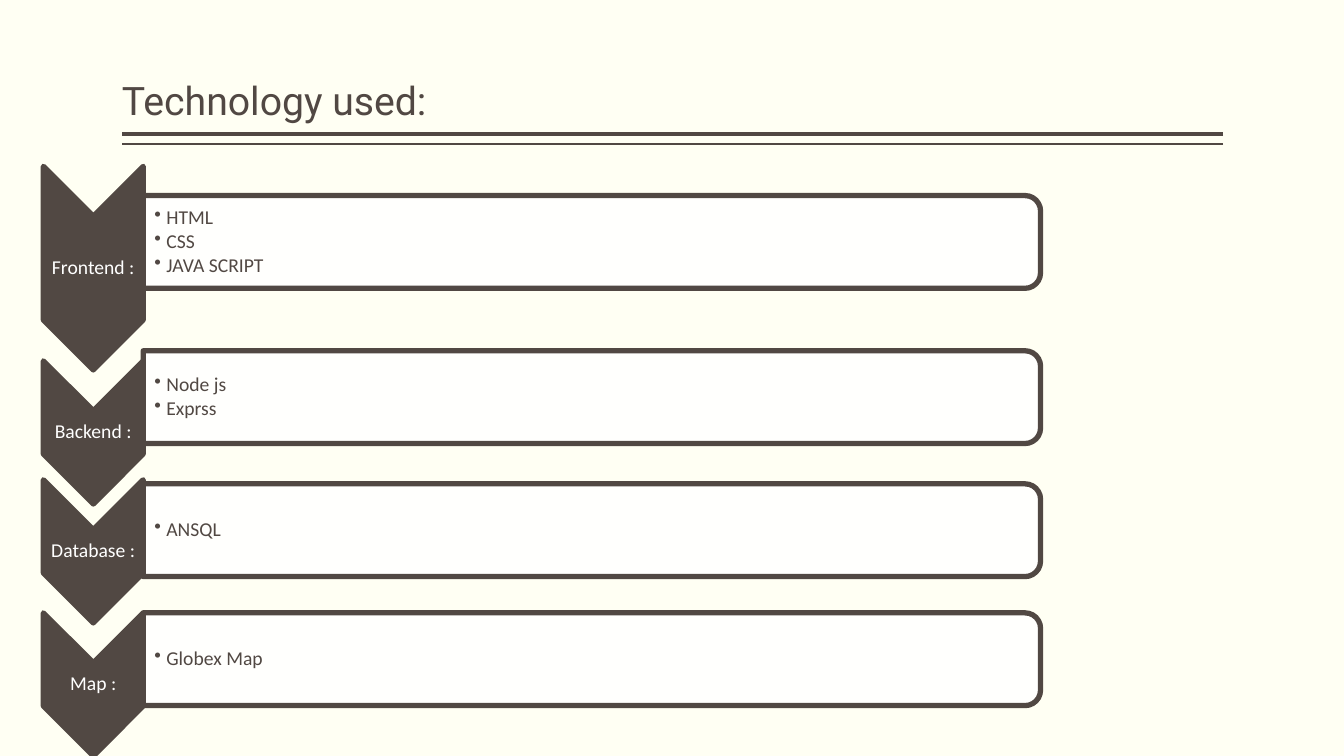
from lxml import etree
from pptx import Presentation
from pptx.dml.color import RGBColor
from pptx.enum.shapes import MSO_CONNECTOR, MSO_SHAPE
from pptx.enum.text import MSO_ANCHOR, PP_ALIGN
from pptx.oxml.ns import qn
from pptx.util import Inches, Pt

BROWN = RGBColor(0x51, 0x48, 0x43)
WHITE = RGBColor(0xFF, 0xFF, 0xFF)
IVORY = RGBColor(0xFF, 0xFF, 0xF3)

TITLE = "Technology used:"
# label, chevron top, chevron height, panel top, bullets
STACK = [
    ("Frontend :", 1.65, 2.02, 1.94, ["HTML", "CSS", "JAVA SCRIPT"]),
    ("Backend :", 3.58, 1.42, 3.48, ["Node js", "Exprss"]),
    ("Database :", 4.76, 1.42, 4.80, ["ANSQL"]),
    ("Map :", 6.08, 1.42, 6.08, ["Globex Map"]),
]
RULES = [(1.33, 3), (1.43, 1)]  # y, weight

TITLE_X, TITLE_W = 1.21, 10.92
CHEVRON_X, CHEVRON_W = 0.43, 0.99
PANEL_X, PANEL_W, PANEL_H = CHEVRON_X + CHEVRON_W, 8.9, 0.92
INSET = 0.05  # panel edge to its text area
INDENT = 0.12

prs = Presentation()
prs.slide_width, prs.slide_height = Inches(13.33), Inches(7.5)
s = prs.slides.add_slide(prs.slide_layouts[6])
s.background.fill.solid()
s.background.fill.fore_color.rgb = IVORY


def add_turned(kind, x, y, w, h, color):
    """Add a shape turned a quarter, filling the box x, y, w, h as seen."""
    sp = s.shapes.add_shape(kind, Inches(x + (w - h) / 2), Inches(y + (h - w) / 2),
                            Inches(h), Inches(w))
    sp.rotation = 90
    sp.shadow.inherit = False
    sp.fill.solid()
    sp.fill.fore_color.rgb = color
    sp.line.color.rgb = BROWN
    sp.line.width = Pt(3.78)
    return sp


def add_text(x, y, w, h, lines, size, font, color, margins, anchor=MSO_ANCHOR.MIDDLE):
    tf = s.shapes.add_textbox(Inches(x), Inches(y), Inches(w), Inches(h)).text_frame
    tf.word_wrap = True
    tf.vertical_anchor = anchor
    tf.margin_left, tf.margin_top, tf.margin_right, tf.margin_bottom = map(Inches, margins)
    tf.text = "\n".join(lines)
    for p in tf.paragraphs:
        p.line_spacing = 0.9
        p.font.size, p.font.name = Pt(size), font
        p.font.color.rgb = color
    return tf.paragraphs


def add_bullet(p):
    p.space_after = Pt(2)
    pPr = p._p.get_or_add_pPr()
    pPr.set("marL", str(Inches(INDENT)))
    pPr.set("indent", str(-Inches(INDENT)))
    bullet = etree.Element(qn("a:buChar"), char="•")
    pPr.find(qn("a:defRPr")).addprevious(bullet)


# Title with its double rule
for y, weight in RULES:
    rule = s.shapes.add_connector(MSO_CONNECTOR.STRAIGHT, Inches(TITLE_X + TITLE_W),
                                  Inches(y), Inches(TITLE_X), Inches(y))
    rule.line.color.rgb = BROWN
    rule.line.width = Pt(weight)
    etree.SubElement(rule._element.spPr, qn("a:effectLst"))
add_text(TITLE_X, 0.08, TITLE_W, 1.2, [TITLE], 28, "Roboto", BROWN,
         (0, 0.05, 0, 0.05), MSO_ANCHOR.BOTTOM)

# One chevron and one panel per layer of the stack
for label, top, height, panel_top, items in STACK:
    add_turned(MSO_SHAPE.CHEVRON, CHEVRON_X, top, CHEVRON_W, height, BROWN)
    name, = add_text(CHEVRON_X, top + CHEVRON_W / 2, CHEVRON_W, height - CHEVRON_W,
                     [label], 14, "Calibri", WHITE, [0.01] * 4)
    name.alignment = PP_ALIGN.CENTER

    panel = add_turned(MSO_SHAPE.ROUND_2_SAME_RECTANGLE, PANEL_X, panel_top,
                       PANEL_W, PANEL_H, WHITE)
    fill_color = panel._element.spPr.find(qn("a:solidFill"))[0]
    etree.SubElement(fill_color, qn("a:alpha"), val="90000")
    for p in add_text(PANEL_X, panel_top + INSET, PANEL_W - INSET, PANEL_H - 2 * INSET,
                      items, 14, "Calibri", BROWN, (0.11, 0.01, 0.01, 0.01)):
        add_bullet(p)

prs.save("out.pptx")
